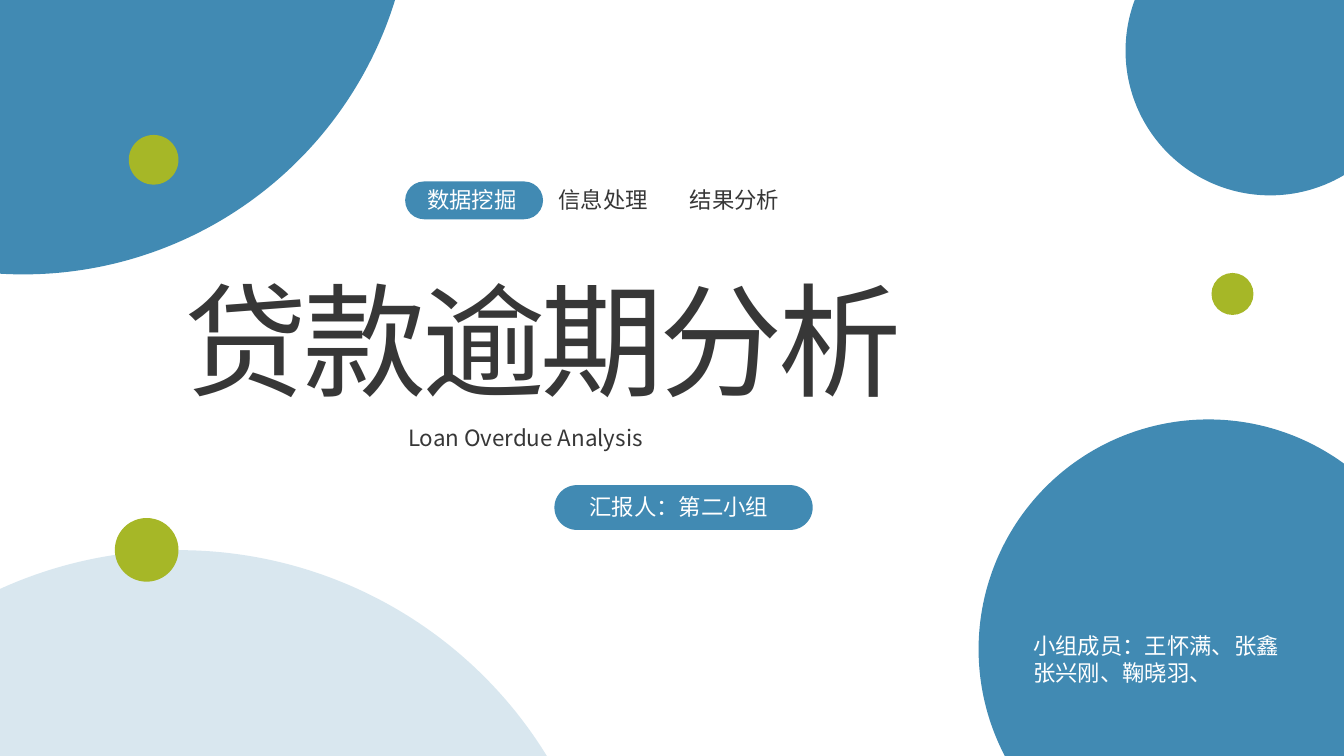
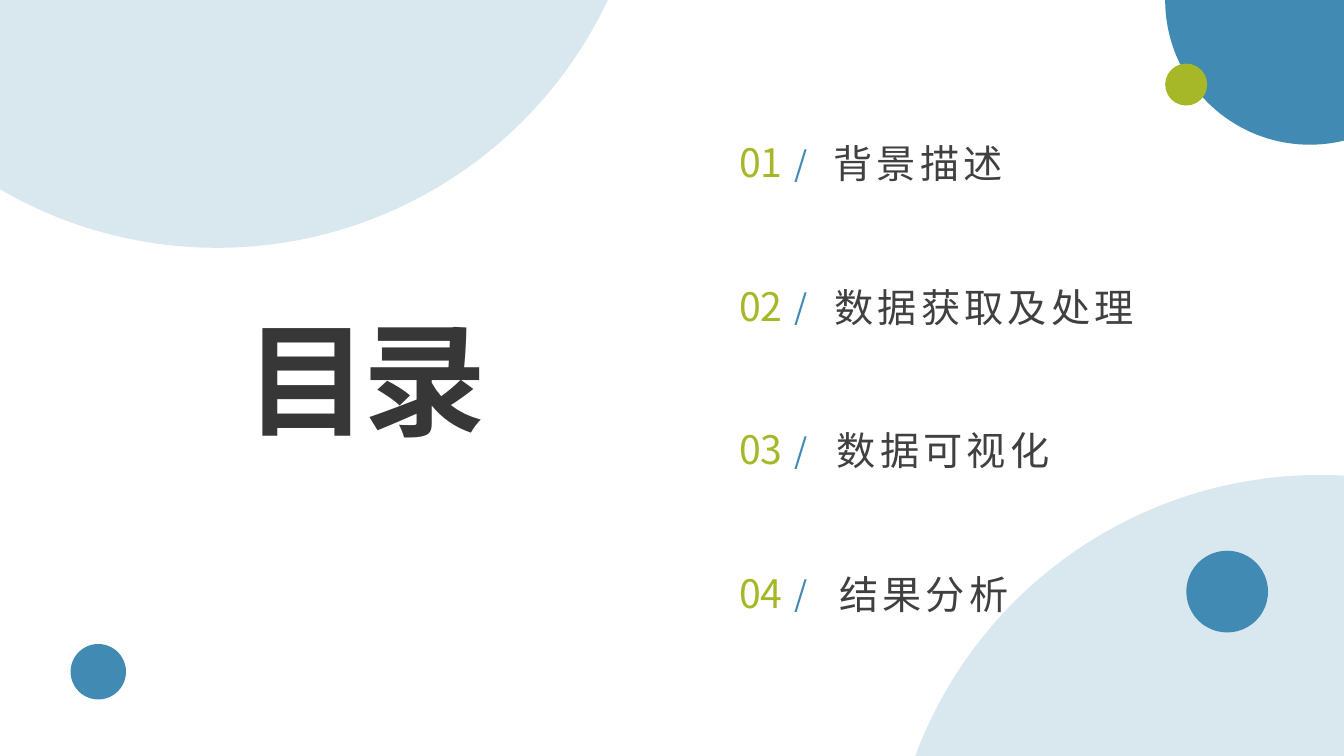
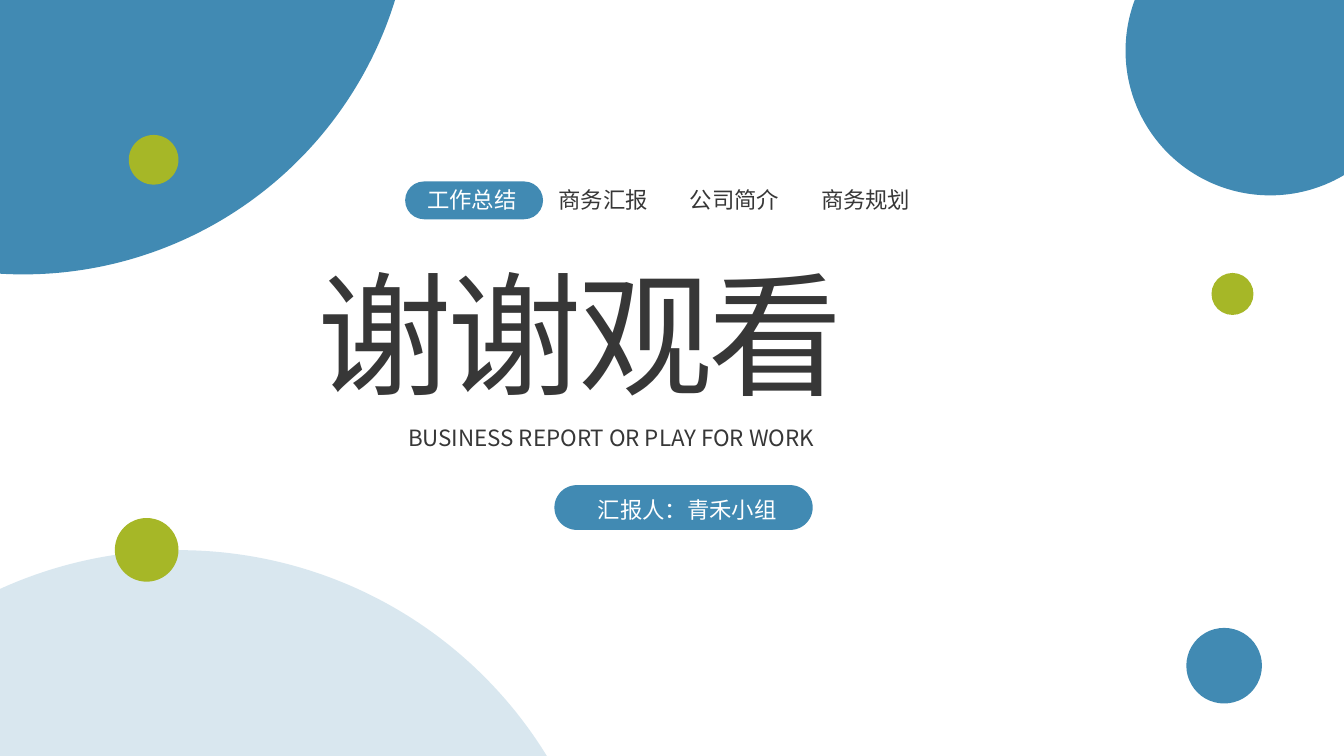
import dataclasses
import pptx
import pptx.util
import pptx.dml.color
import pptx.enum.shapes
import pptx.enum.text
import pptx.oxml
import pptx.oxml.ns

Pt = pptx.util.Pt
qn = pptx.oxml.ns.qn
Kind = pptx.enum.shapes.MSO_SHAPE
Align = pptx.enum.text.PP_ALIGN


@dataclasses.dataclass(frozen=True)
class Theme:
    blue: str = "418AB3"
    green: str = "A6B727"
    dark: str = "373737"
    gray: str = "404040"
    white: str = "FFFFFF"
    font: str = "Noto Sans CJK SC"
    body: int = 16
    slash: int = 24
    item: int = 28
    head: int = 88
    thanks: int = 96
    tight: int = -3
    loose: int = 3
    pale: int = 20


LOOK = Theme()
FULL = (0, 0, 960, 540)


def tint(text):
    return pptx.dml.color.RGBColor.from_string(text)


def place(shape, box):
    shape.left, shape.top, shape.width, shape.height = map(Pt, box)


def write(shape, lines, size, color, align=Align.LEFT, space=0, bold=False, wrap=True):
    frame = shape.text_frame
    frame.word_wrap = wrap
    frame.auto_size = pptx.enum.text.MSO_AUTO_SIZE.SHAPE_TO_FIT_TEXT
    frame.vertical_anchor = pptx.enum.text.MSO_ANCHOR.TOP
    for i, line in enumerate(lines):
        para = frame.add_paragraph() if i else frame.paragraphs[0]
        para.alignment = align
        run = para.add_run()
        run.text = line
        run.font.size = Pt(size)
        run.font.bold = bold
        run.font.color.rgb = tint(color)
        run.font.name = LOOK.font
    for mark in shape.element.iter(qn("a:rPr")):
        east = pptx.oxml.parse_xml(f'<a:ea {pptx.oxml.ns.nsdecls("a")}/>')
        east.set("typeface", LOOK.font)
        mark.append(east)
        if space:
            mark.set("spc", str(space * 100))


def label(slide, box, lines, size, color, **more):
    write(slide.shapes.add_textbox(*map(Pt, box)), lines, size, color, **more)


def title(slide, box, text, size, bold=False):
    shape = slide.shapes.title
    place(shape, box)
    write(shape, [text], size, LOOK.dark, Align.JUSTIFY, LOOK.tight, bold)


def solid(slide, kind, box, color, alpha=100):
    shape = slide.shapes.add_shape(kind, *map(Pt, box))
    shape.shadow.inherit = False
    shape.fill.solid()
    shape.fill.fore_color.rgb = tint(color)
    shape.line.fill.background()
    if alpha < 100:
        fill = next(shape.element.spPr.iter(qn("a:srgbClr")))
        fill.append(pptx.oxml.parse_xml(
            f'<a:alpha {pptx.oxml.ns.nsdecls("a")} val="{alpha * 1000}"/>'))
    return shape


def discs(slide, box, specs):
    for x, y, size, color, alpha in specs:
        area = (box[0] + x, box[1] + y, size, size)
        solid(slide, Kind.FLOWCHART_CONNECTOR, area, color, alpha)


def pill(slide, box):
    solid(slide, Kind.ROUNDED_RECTANGLE, box, LOOK.blue).adjustments[0] = 0.5


def tabs(slide, box, words):
    x, y, wide, high = box
    pill(slide, (x, y, 98.5, 27))
    for i, word in enumerate(words):
        color = LOOK.dark if i else LOOK.white
        area = (x + 4.4 + i * 93.8, y, 86.4, high)
        label(slide, area, [word], LOOK.body, color, align=Align.CENTER)


def cover(slide, box, last, words, head, size, area, sub, host, shift):
    x, y = box[:2]
    discs(slide, box, [
        (-261.4, -360, 556, LOOK.blue, 100),
        (804, -67, 206.6, LOOK.blue, 100),
        (*last, LOOK.blue, 100),
        (-180.7, 393, 617, LOOK.blue, LOOK.pale),
        (865.4, 195, 30, LOOK.green, 100),
        (82, 370, 45.5, LOOK.green, 100),
        (92, 96.4, 35.5, LOOK.green, 100),
    ])
    tabs(slide, (x + 289.4, y + 129.6, 375, 26.6), words)
    title(slide, (x + area[0], y + area[1], *area[2:]), head, size)
    label(slide, (x + 284.4, y + 299.5, 384, 26.6), [sub],
          LOOK.body, LOOK.dark, align=Align.JUSTIFY)
    pill(slide, (x + 396, y + 346.5, 184.5, 32))
    label(slide, (x + 414 + shift[0], y + 348.5 + shift[1], 148.3, 26.6), [host],
          LOOK.body, LOOK.white, align=Align.JUSTIFY)


def entry(slide, box, num, text, shift):
    x, y, wide, high = box
    parts = [
        (0, 0, 47.5, high, num, LOOK.item, LOOK.green, 0),
        (38.2, 2.8, 28, 36, "/", LOOK.slash, LOOK.blue, LOOK.loose),
        (66.2 + shift, 0.5, 31.4 * len(text) + 14.2, high, text,
         LOOK.item, LOOK.gray, LOOK.loose),
    ]
    for dx, dy, w, h, word, size, color, space in parts:
        label(slide, (x + dx, y + dy, w, h), [word], size, color,
              align=Align.CENTER, space=space, wrap=False)


def agenda(slide, box, head, items):
    x, y = box[:2]
    discs(slide, box, [
        (634.3, 339.3, 617, LOOK.blue, LOOK.pale),
        (832.3, -103.2, 206.6, LOOK.blue, 100),
        (50.4, 460, 39.6, LOOK.blue, 100),
        (-153.4, -440, 617, LOOK.blue, LOOK.pale),
        (832.3, 45.4, 30, LOOK.green, 100),
        (847.4, 393.4, 58.4, LOOK.blue, 100),
    ])
    title(slide, (x + 167.8, y + 213.2, 202.3, 113.8), head, LOOK.head, True)
    for i, (text, shift) in enumerate(items):
        row = (x + 519.8, y + 95.6 + i * 102.5, 320, 41)
        entry(slide, row, f"{i + 1:02}", text, shift)


def main():
    deck = pptx.Presentation()
    deck.slide_width, deck.slide_height = Pt(960), Pt(540)
    first, second, third = (
        deck.slides.add_slide(deck.slide_layouts[5]) for _ in range(3))
    cover(first, FULL, (699, 299.6, 328.4), ["数据挖掘", "信息处理", "结果分析"],
          "贷款逾期分析", LOOK.head, (124.5, 185, 711, 113.8),
          "Loan Overdue Analysis", "汇报人：第二小组", (0, 0))
    label(first, (731, 448, 219, 46), ["小组成员：王怀满、张鑫", "张兴刚、鞠晓羽、"],
          LOOK.body, LOOK.white)
    agenda(second, FULL, "目录", [
        ("背景描述", 0), ("数据获取及处理", 0), ("数据可视化", 2), ("结果分析", 4)])
    cover(third, FULL, (847.4, 448.5, 54),
          ["工作总结", "商务汇报", "公司简介", "商务规划"],
          "谢谢观看", LOOK.thanks, (219.6, 175.6, 524, 124),
          "BUSINESS REPORT OR PLAY FOR WORK", "汇报人：青禾小组", (6, 2))
    deck.save("out.pptx")


if __name__ == "__main__":
    main()
